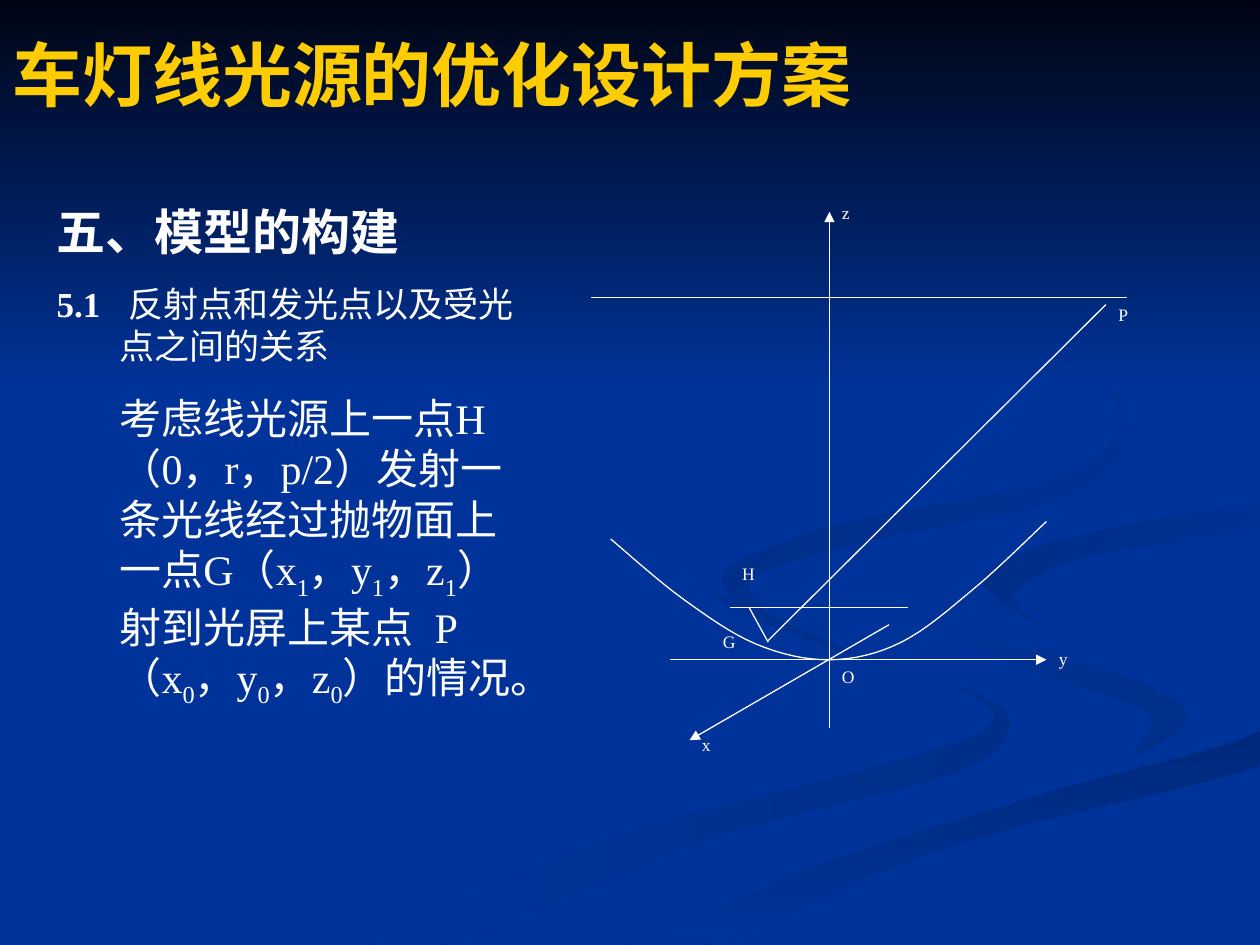
"""Build the slide on the reflection model of a car lamp line source."""
from lxml.etree import SubElement
from pptx import Presentation
from pptx.dml.color import RGBColor
from pptx.enum.shapes import MSO_CONNECTOR, MSO_SHAPE
from pptx.enum.text import MSO_ANCHOR
from pptx.oxml.ns import qn
from pptx.util import Pt

FONT = "Times New Roman"
WIDTH, HEIGHT = 720, 540
COLORS = {"bg": "003399", "night": "000514", "title": "FFCC00", "text": "FFFFFF",
          "shade": "002E8A", "deep": "00297C", "mid": "002C85", "dusk": "002B81"}

TITLE = "车灯线光源的优化设计方案"
HEADING = "五、模型的构建"
SECTION = ("5.1\t ", "反射点和发光点以及受光点之间的关系")
BODY = [("考虑线光源上一点H（0，r，p/2）发射一条光线经过抛物面上一点G（x", "1"),
        ("，y", "1"), ("，z", "1"), ("）射到光屏上某点\tP（x", "0"),
        ("，y", "0"), ("，z", "0"), ("）的情况。", "")]

SWOOSHES = [
    ("shade", "bg", 180, [
        (562, 398), (491, 374), (419, 343), (412, 343), (471, 369), (554, 396), (557, 420),
        (444, 453), (330, 485), (216, 539), (260, 539), (406, 479), (544, 442), (576, 418)]),
    ("shade", "bg", 135, [
        (679, 410), (639, 385), (557, 362), (521, 334), (531, 356), (587, 382), (656, 408),
        (644, 436)]),
    ("deep", "bg", 270, [
        (362, 539), (411, 539), (541, 484), (719, 438), (719, 418), (598, 453), (454, 499)]),
    ("bg", None, 0, [
        (522, 334), (558, 362), (640, 385), (679, 410), (626, 440), (477, 481), (343, 539),
        (362, 539), (454, 499), (598, 453), (719, 418), (719, 387), (624, 366), (562, 333),
        (612, 307), (719, 289), (719, 279), (612, 296)]),
    ("bg", "mid", 135, [
        (562, 331), (595, 357), (580, 340), (618, 319), (719, 302), (719, 289), (612, 307)]),
    ("bg", "dusk", 135, [
        (492, 310), (594, 289), (640, 261), (634, 221), (549, 168), (616, 205), (639, 246),
        (598, 275), (487, 298), (420, 322), (418, 341), (448, 360), (429, 332)]),
]

AXES = [(383, 377, 598, 377), (474, 416, 474, 121), (508, 357, 394, 423)]
RAYS = [(417, 347, 519, 347), (428, 347, 439, 367),
        (338, 170, 644, 170), (439, 366, 632, 174)]
MIRROR = [(349, 308), (390, 342), (432, 368), (474, 377), (515, 367), (557, 336), (598, 298)]
LABELS = [("x", 394, 416), ("y", 598, 367), ("O", 474, 377), ("G", 406, 357),
          ("H", 417, 318), ("z", 474, 112), ("P", 632, 170)]


def rgb(name):
    return RGBColor.from_string(COLORS[name])


def paint(sp, first, last, angle):
    sp.shadow.inherit = False
    sp.line.fill.background()
    if last is None:
        sp.fill.solid()
        sp.fill.fore_color.rgb = rgb(first)
        return
    sp.fill.gradient()
    sp.fill.gradient_angle = angle
    for stop, name, pos in zip(sp.fill.gradient_stops, (first, last), (0, 1)):
        stop.color.rgb = rgb(name)
        stop.position = pos


def smooth(points, close, steps=8):
    n = len(points)
    ring = points if close else [points[0], *points, points[-1]]
    for i in range(n if close else n - 1):
        a, b, c, d = (ring[(i + k) % len(ring)] for k in range(4))
        for j in range(steps + 1):
            t = j / steps
            yield tuple(min(limit, q + t / 2 * (r - p + t * (2 * p - 5 * q + 4 * r - u
                            + t * (3 * (q - r) + u - p))))
                        for p, q, r, u, limit in zip(a, b, c, d, (WIDTH, HEIGHT)))


def outline(s, points, close):
    pts = [(Pt(x), Pt(y)) for x, y in smooth(points, close)]
    fb = s.shapes.build_freeform(*pts[0])
    fb.add_line_segments(pts[1:], close=close)
    return fb.convert_to_shape()


def style_line(line):
    line.color.rgb = rgb("text")
    line.width = Pt(0.75)


def add_line(s, ends, arrow):
    cn = s.shapes.add_connector(MSO_CONNECTOR.STRAIGHT, *map(Pt, ends))
    style_line(cn.line)
    if arrow:
        SubElement(cn.line._get_or_add_ln(), qn("a:tailEnd"), type="triangle")
    SubElement(cn._element.spPr, qn("a:effectLst"))


def add_box(s, *place):
    tf = s.shapes.add_textbox(*map(Pt, place)).text_frame
    tf.word_wrap = True
    return tf


def add_run(p, text, size, bold=False, color="text"):
    r = p.add_run()
    r.text = text
    r.font.name = FONT
    r.font.size = Pt(size)
    r.font.bold = bold
    r.font.color.rgb = rgb(color)
    return r


def add_model_text(s):
    tf = add_box(s, 25.2, 111.6, 278, 334)
    heading, section, body = tf.paragraphs[0], tf.add_paragraph(), tf.add_paragraph()
    for p in (heading, section, body):
        p._p.get_or_add_pPr().set("marL", str(Pt(36)))
    for p in (heading, section):
        p._p.pPr.set("indent", str(Pt(-36)))
    add_run(heading, HEADING, 28, True)
    section.space_before = Pt(12.5)
    for text, bold in zip(SECTION, (True, False)):
        add_run(section, text, 20, bold)
    body.space_before = Pt(15)
    tabs = SubElement(body._p.pPr, qn("a:tabLst"))
    SubElement(tabs, qn("a:tab"), pos=str(Pt(133)), algn="l")
    for text, sub in BODY:
        add_run(body, text, 24)
        if sub:
            add_run(body, sub, 24).font._element.set("baseline", "-25000")


def main():
    prs = Presentation()
    prs.slide_width, prs.slide_height = Pt(WIDTH), Pt(HEIGHT)
    s = prs.slides.add_slide(prs.slide_layouts[6])
    s.background.fill.solid()
    s.background.fill.fore_color.rgb = rgb("bg")
    for first, last, angle, points in SWOOSHES:
        paint(outline(s, points, True), first, last, angle)
    sky = s.shapes.add_shape(MSO_SHAPE.RECTANGLE, 0, 0, Pt(WIDTH), Pt(222))
    paint(sky, "night", "bg", 270)

    tf = add_box(s, 0, 20, 648, 44)
    tf.vertical_anchor = MSO_ANCHOR.MIDDLE
    add_run(tf.paragraphs[0], TITLE, 40, True, "title")
    add_model_text(s)

    for ends in AXES:
        add_line(s, ends, True)
    mirror = outline(s, MIRROR, False)
    mirror.shadow.inherit = False
    mirror.fill.background()
    style_line(mirror.line)
    for ends in RAYS:
        add_line(s, ends, False)
    for text, left, top in LABELS:
        add_run(add_box(s, left, top, 30, 30).paragraphs[0], text, 10)
    prs.save("out.pptx")


if __name__ == "__main__":
    main()
